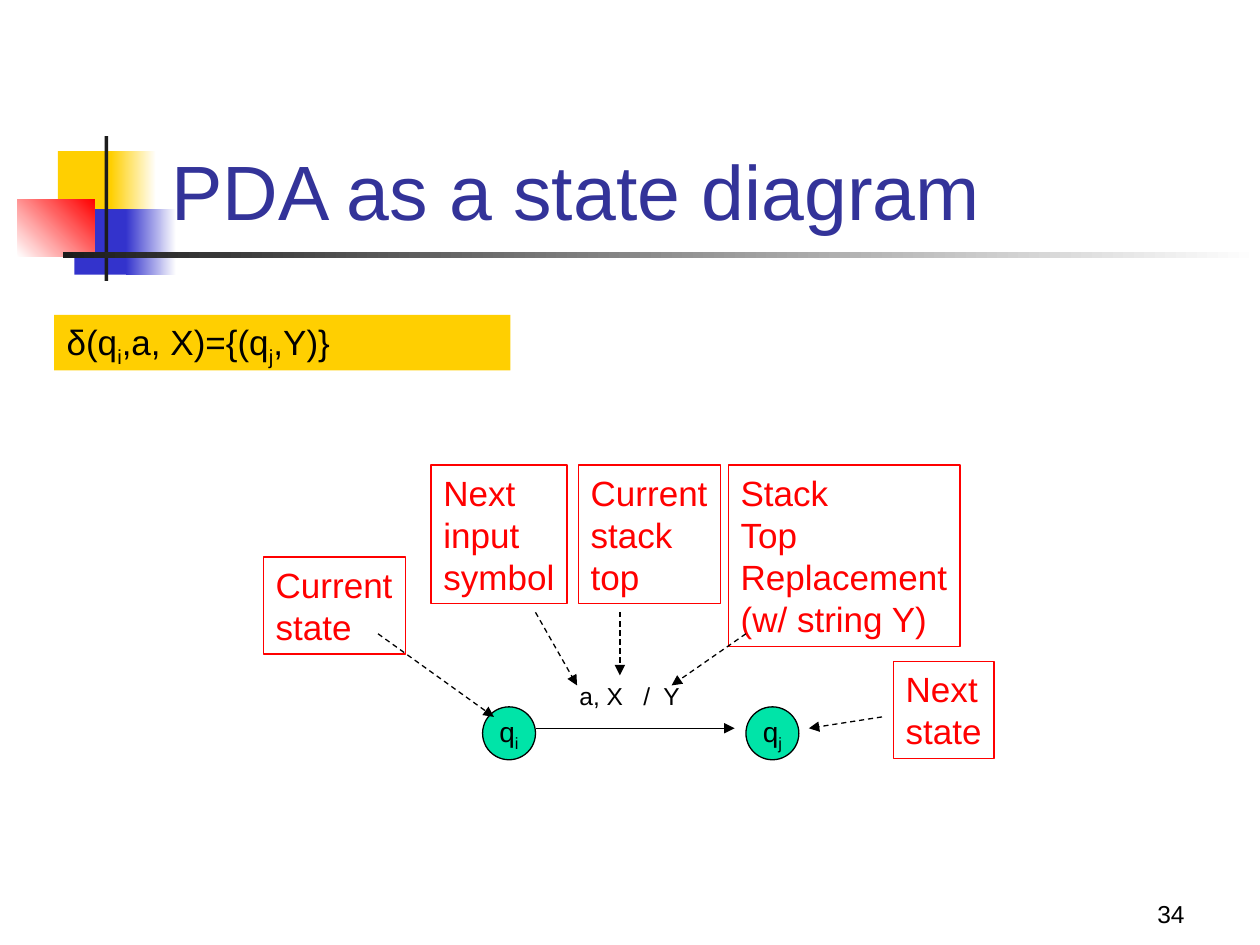
from lxml import etree
from pptx import Presentation
from pptx.dml.color import RGBColor
from pptx.enum.dml import MSO_LINE
from pptx.enum.shapes import MSO_CONNECTOR, MSO_SHAPE
from pptx.enum.text import MSO_ANCHOR, MSO_AUTO_SIZE, PP_ALIGN
from pptx.oxml.ns import qn
from pptx.util import Inches, Pt

RECT, OVAL = MSO_SHAPE.RECTANGLE, MSO_SHAPE.OVAL
STRAIGHT, DASH = MSO_CONNECTOR.STRAIGHT, MSO_LINE.DASH
LEFT, CENTER, RIGHT = PP_ALIGN.LEFT, PP_ALIGN.CENTER, PP_ALIGN.RIGHT
TOP, MIDDLE, BOTTOM = MSO_ANCHOR.TOP, MSO_ANCHOR.MIDDLE, MSO_ANCHOR.BOTTOM

COLORS = {
    "black": "000000", "white": "FFFFFF", "yellow": "FFCF01", "blue": "3333CC",
    "red": "FF0000", "charcoal": "1C1C1C", "title": "333399", "state": "00E4A8",
}
RGB = {name: RGBColor.from_string(value) for name, value in COLORS.items()}


def write(shape, text, size=20, color="black", align=LEFT, anchor=TOP, wrap=False, spacing=1.0):
    """Fill a shape with text: \\n starts a paragraph, \\v a line, _ lowers the next letter."""
    frame = shape.text_frame
    frame.auto_size = MSO_AUTO_SIZE.NONE
    frame.word_wrap = wrap
    frame.vertical_anchor = anchor
    for number, content in enumerate(text.split("\n")):
        paragraph = frame.add_paragraph() if number else frame.paragraphs[0]
        paragraph.alignment = align
        paragraph.line_spacing = spacing
        for row, line in enumerate(content.split("\v")):
            if row:
                paragraph.add_line_break()
            head, *lowered = line.split("_")
            pieces = [(head, False)]
            for part in lowered:
                pieces += [(part[0], True), (part[1:], False)]
            for piece, is_subscript in pieces:
                if not piece:
                    continue
                run = paragraph.add_run()
                run.text = piece
                run.font.name = "Arial"
                run.font.size = Pt(size)
                run.font.color.rgb = RGB[color]
                if is_subscript:
                    run.font._element.set("baseline", "-25000")


prs = Presentation()
prs.slide_width, prs.slide_height = Inches(10), Inches(7.5)
slide = prs.slides.add_slide(prs.slide_layouts[5])
shapes = slide.shapes

# Corner ornament: start colour, end colour (None for solid), gradient angle
ornament = [
    (0.46, 1.2, 0.48, 0.52, "yellow", None, 0),
    (0.88, 1.2, 0.36, 0.52, "yellow", "white", 0),
    (0.59, 1.66, 0.46, 0.52, "blue", None, 0),
    (1, 1.66, 0.4, 0.52, "blue", "white", 0),
    (0.14, 1.58, 0.61, 0.46, "white", "red", 45),
    (0.83, 1.08, 0.03, 1.15, "charcoal", None, 0),
    (0.5, 2, 9.5, 0.05, "charcoal", "white", 0),
]
for left, top, width, height, start, end, angle in ornament:
    block = shapes.add_shape(RECT, Inches(left), Inches(top), Inches(width), Inches(height))
    block.shadow.inherit = False
    block.line.fill.background()
    if end:
        block.fill.gradient()
        block.fill.gradient_angle = angle
        for stop, color in zip(block.fill.gradient_stops, (start, end)):
            stop.color.rgb = RGB[color]
    else:
        block.fill.solid()
        block.fill.fore_color.rgb = RGB[start]

title = shapes.title
title.left, title.top, title.width, title.height = Inches(1.26), Inches(0.67), Inches(8.52), Inches(1.25)
write(title, "PDA as a state diagram", size=44, color="title", anchor=BOTTOM, wrap=True)
shapes._spTree.append(title._element)  # above the ornament

page_number = shapes.add_textbox(Inches(7.42), Inches(6.92), Inches(2.08), Inches(0.5))
write(page_number, "34", size=14, align=RIGHT, anchor=BOTTOM, wrap=True)

# States and the transition label
for left, state_name in [(3.83, "q_i"), (5.92, "q_j")]:
    state = shapes.add_shape(OVAL, Inches(left), Inches(5.61), Inches(0.42), Inches(0.42))
    state.shadow.inherit = False
    state.fill.solid()
    state.fill.fore_color.rgb = RGB["state"]
    state.line.color.rgb = RGB["black"]
    state.line.width = Pt(0.75)
    write(state, state_name, size=16, align=CENTER, anchor=MIDDLE)

transition = shapes.add_textbox(Inches(4.5), Inches(5.36), Inches(1.05), Inches(0.34))
write(transition, "a, X   /  Y", size=14)

# Red explanations
explanations = [
    (3.42, 3.69, 1.08, 1.1, "Next \vinput \vsymbol"),
    (2.09, 4.42, 1.13, 0.77, "Current\vstate"),
    (4.59, 3.69, 1.13, 1.1, "Current\nstack\vtop"),
    (5.78, 3.69, 1.84, 1.44, "Stack\nTop\nReplacement\n(w/ string Y)"),
    (7.09, 5.25, 0.8, 0.77, "Next\vstate"),
]
for left, top, width, height, text in explanations:
    explanation = shapes.add_textbox(Inches(left), Inches(top), Inches(width), Inches(height))
    explanation.line.color.rgb = RGB["red"]
    explanation.line.width = Pt(0.75)
    write(explanation, text, color="red")

# The transition itself, then the dashed pointers from the explanations
arrows = [
    (4.25, 5.78, 5.83, 5.78, None),
    (3, 5.03, 3.92, 5.69, DASH),
    (4.25, 4.86, 4.58, 5.44, DASH),
    (4.92, 4.86, 4.92, 5.36, DASH),
    (5.92, 5.03, 5.33, 5.44, DASH),
    (7, 5.69, 6.42, 5.78, DASH),
]
for x1, y1, x2, y2, dash in arrows:
    arrow = shapes.add_connector(STRAIGHT, Inches(x1), Inches(y1), Inches(x2), Inches(y2))
    arrow.line.color.rgb = RGB["black"]
    arrow.line.width = Pt(0.75)
    if dash:
        arrow.line.dash_style = dash
    etree.SubElement(arrow.line._get_or_add_ln(), qn("a:tailEnd"), type="triangle")
    etree.SubElement(arrow._element.spPr, qn("a:effectLst"))

formula = shapes.add_textbox(Inches(0.43), Inches(2.5), Inches(3.62), Inches(0.44))
formula.fill.solid()
formula.fill.fore_color.rgb = RGB["yellow"]
write(formula, "δ(q_i,a, X)={(q_j,Y)}", wrap=True, spacing=0.9)

prs.save("out.pptx")
